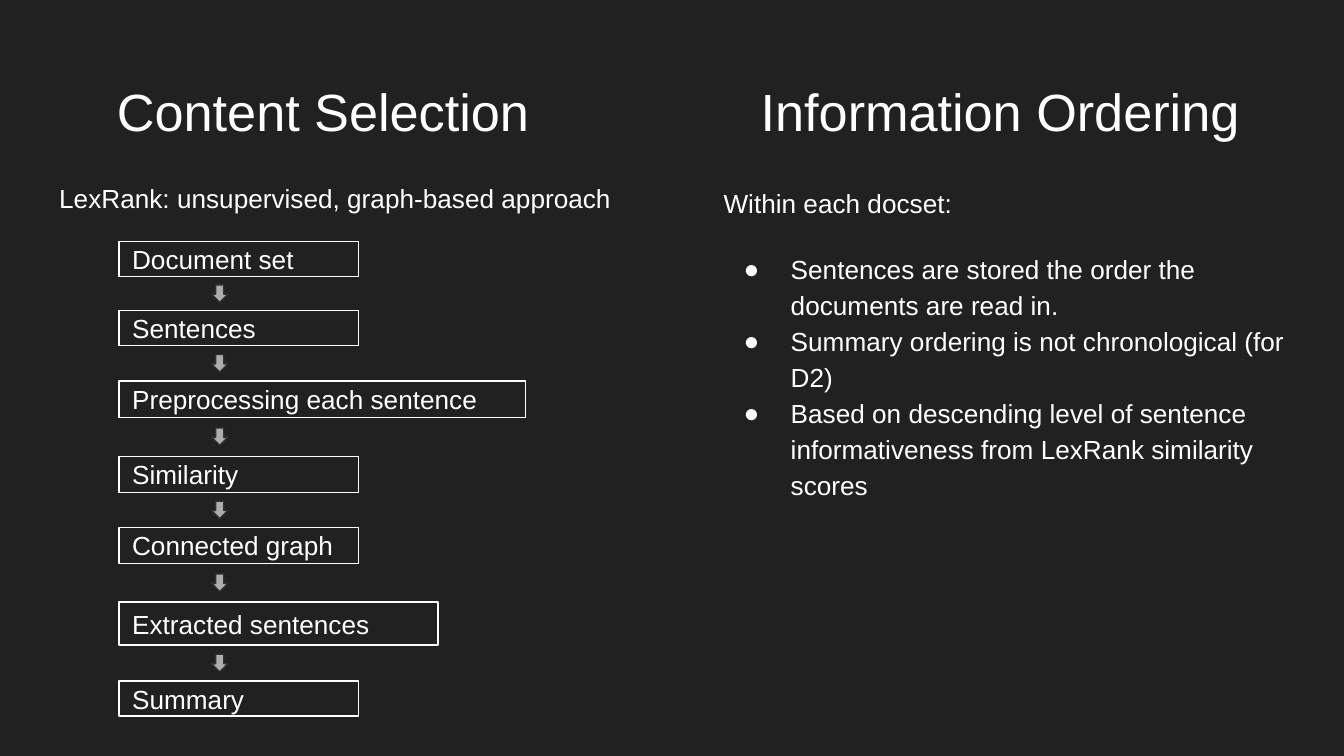
import pptx
import pptx.dml.color
import pptx.enum.shapes
import pptx.enum.text
import pptx.oxml
import pptx.oxml.ns
import pptx.util

BACKGROUND = pptx.dml.color.RGBColor(0x21, 0x21, 0x21)
WHITE = pptx.dml.color.RGBColor(0xFF, 0xFF, 0xFF)
ARROW_FILL = pptx.dml.color.RGBColor(0xAD, 0xAD, 0xAD)
ARROW_LINE = pptx.dml.color.RGBColor(0x30, 0x30, 0x30)

SLIDE_WIDTH = pptx.util.Inches(10)
SLIDE_HEIGHT = SLIDE_WIDTH * 9 // 16
INSET = pptx.util.Inches(0.1)
FONT = "Arial"
BODY_SIZE = 14
TITLE_SIZE = 28

# Flow steps: text, top and height (% of slide height), width (% of slide width)
STEPS = [
    ("Document set", 31.95, 4.63, 17.85),
    ("Sentences", 41.1, 4.63, 17.85),
    ("Preprocessing each sentence", 50.4, 4.8, 30.25),
    ("Similarity", 60.36, 4.8, 17.85),
    ("Connected graph", 69.75, 4.8, 17.85),
    ("Extracted sentences", 79.64, 5.69, 23.75),
    ("Summary", 90.1, 4.63, 17.85),
]
STEP_LEFT = 8.85
ARROW_LEFT, ARROW_WIDTH, ARROW_HEIGHT = 15.75, 1.2, 2.31

ORDERING_POINTS = [
    "Sentences are stored the order the documents are read in.",
    "Summary ordering is not chronological (for D2)",
    "Based on descending level of sentence informativeness from LexRank similarity scores",
]


def box(left, top, width, height):
    """Turn percentages of the slide's size into lengths."""
    return (int(SLIDE_WIDTH * left / 100), int(SLIDE_HEIGHT * top / 100),
            int(SLIDE_WIDTH * width / 100), int(SLIDE_HEIGHT * height / 100))


def set_frame(text_frame, anchor):
    text_frame.word_wrap = True
    text_frame.auto_size = pptx.enum.text.MSO_AUTO_SIZE.NONE
    text_frame.vertical_anchor = anchor
    text_frame.margin_left = text_frame.margin_right = INSET
    text_frame.margin_top = text_frame.margin_bottom = INSET


def format_paragraph(paragraph, size=BODY_SIZE, line_spacing=1.0):
    paragraph.alignment = pptx.enum.text.PP_ALIGN.LEFT
    paragraph.line_spacing = line_spacing
    for run in paragraph.runs:
        run.font.name = FONT
        run.font.size = pptx.util.Pt(size)
        run.font.color.rgb = WHITE


def add_bullet(paragraph):
    properties = paragraph._p.get_or_add_pPr()
    properties.set("marL", str(pptx.util.Inches(0.5)))
    properties.set("indent", str(pptx.util.Inches(-0.35)))
    namespace = pptx.oxml.ns.nsdecls("a")
    for xml in (f'<a:buClr {namespace}><a:srgbClr val="{WHITE}"/></a:buClr>',
                f'<a:buFont {namespace} typeface="{FONT}"/>',
                f'<a:buChar {namespace} char="●"/>'):
        properties.append(pptx.oxml.parse_xml(xml))


def set_title(slide, headings, stops):
    """Place each heading at its own tab stop, in inches from the text edge."""
    title = slide.shapes.title
    title.left, title.top, title.width, title.height = box(3.4, 8.65, 93.2, 11.2)
    set_frame(title.text_frame, pptx.enum.text.MSO_ANCHOR.TOP)
    title.text_frame.text = "".join("\t" + heading for heading in headings)
    paragraph = title.text_frame.paragraphs[0]
    format_paragraph(paragraph, TITLE_SIZE)
    tabs = "".join(f'<a:tab pos="{pptx.util.Inches(stop)}" algn="l"/>' for stop in stops)
    paragraph._p.get_or_add_pPr().append(pptx.oxml.parse_xml(
        f'<a:tabLst {pptx.oxml.ns.nsdecls("a")}>{tabs}</a:tabLst>'))


def add_body(slide, left, top, intro, points=()):
    text_box = slide.shapes.add_textbox(*box(left, top, 43.75, 66.4))
    text_frame = text_box.text_frame
    set_frame(text_frame, pptx.enum.text.MSO_ANCHOR.TOP)
    text_frame.text = "\n".join([intro, *points])
    for index, paragraph in enumerate(text_frame.paragraphs):
        format_paragraph(paragraph, line_spacing=1.15)
        if index == 1:
            paragraph.space_before = pptx.util.Pt(16)
        if index > 0:
            add_bullet(paragraph)


def add_outlined_shape(slide, kind, place, line_color):
    shape = slide.shapes.add_shape(kind, *box(*place))
    shape.shadow.inherit = False
    shape.fill.background()
    shape.line.color.rgb = line_color
    shape.line.width = pptx.util.Pt(0.75)
    return shape


def add_step(slide, text, top, height, width):
    shape = add_outlined_shape(slide, pptx.enum.shapes.MSO_SHAPE.RECTANGLE,
                               (STEP_LEFT, top, width, height), WHITE)
    set_frame(shape.text_frame, pptx.enum.text.MSO_ANCHOR.MIDDLE)
    shape.text_frame.text = text
    format_paragraph(shape.text_frame.paragraphs[0])


def add_down_arrow(slide, gap_top, gap_bottom):
    """Centre an arrow in the gap between two steps."""
    top = (gap_top + gap_bottom - ARROW_HEIGHT) / 2
    arrow = add_outlined_shape(slide, pptx.enum.shapes.MSO_SHAPE.DOWN_ARROW,
                               (ARROW_LEFT, top, ARROW_WIDTH, ARROW_HEIGHT), ARROW_LINE)
    arrow.fill.solid()
    arrow.fill.fore_color.rgb = ARROW_FILL


def main():
    presentation = pptx.Presentation()
    presentation.slide_width = SLIDE_WIDTH
    presentation.slide_height = SLIDE_HEIGHT
    slide = presentation.slides.add_slide(presentation.slide_layouts[5])
    slide.background.fill.solid()
    slide.background.fill.fore_color.rgb = BACKGROUND

    # Headings and the text of both columns
    set_title(slide, ["Content Selection", "Information Ordering"], [0.43, 5.22])
    add_body(slide, 3.42, 21.69, "LexRank: unsupervised, graph-based approach")
    add_body(slide, 52.85, 22.4, "Within each docset:", ORDERING_POINTS)

    # Flow of steps with an arrow in each gap
    for step in STEPS:
        add_step(slide, *step)
    for (_, top, height, _), (_, next_top, _, _) in zip(STEPS, STEPS[1:]):
        add_down_arrow(slide, top + height, next_top)

    presentation.save("out.pptx")


if __name__ == "__main__":
    main()
